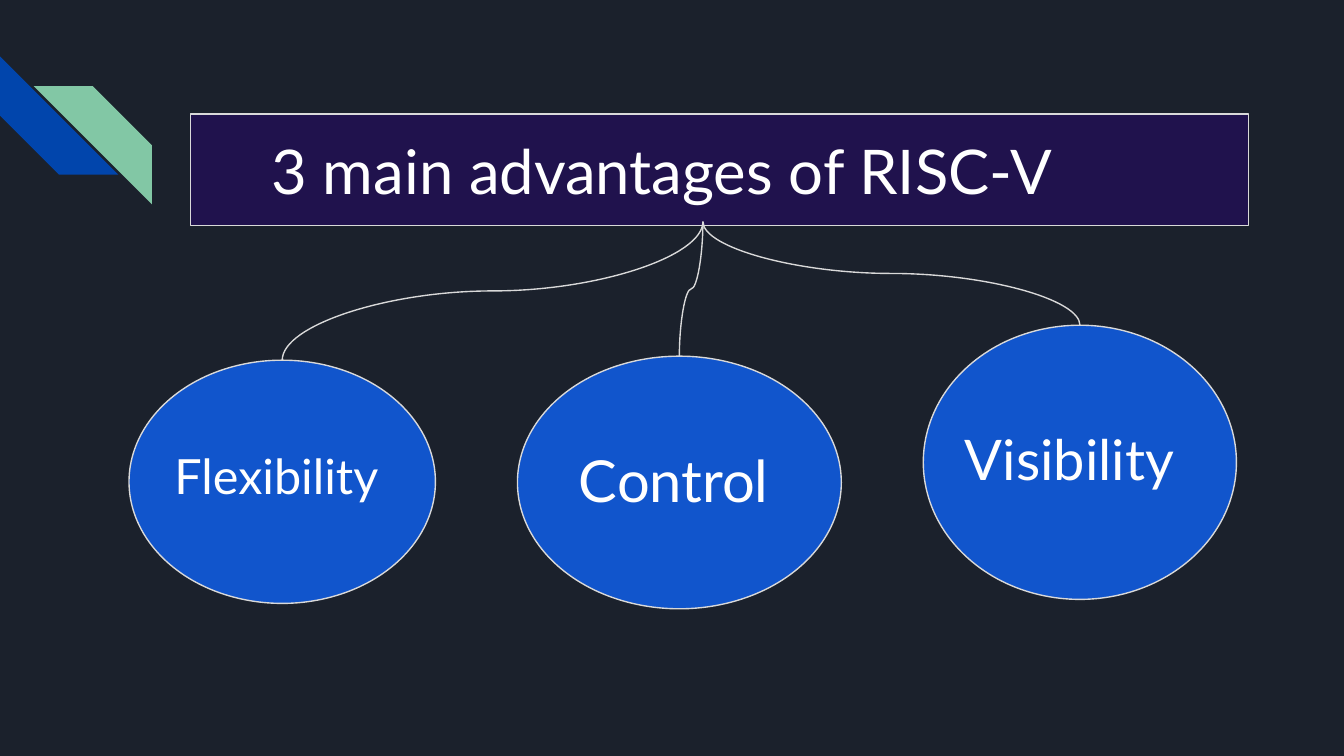
from typing import NamedTuple

import pptx
import pptx.dml.color
import pptx.enum.shapes
import pptx.enum.text
import pptx.oxml
import pptx.util
from pptx.util import Inches

SHAPE = pptx.enum.shapes.MSO_SHAPE
COLORS = {
    "background": "1B212C",
    "blue stripe": "0145AC",
    "green stripe": "82C7A5",
    "oval": "1155CC",
    "bar": "20124D",
    "line": "D9D9D9",
    "text": "FFFFFF",
}
LINE_WIDTH = pptx.util.Pt(0.75)
FONT = "Lato"


class Box(NamedTuple):
    left: float
    top: float
    width: float
    height: float

    def lengths(self) -> list:
        return [Inches(v) for v in self]


class Advantage(NamedTuple):
    name: str
    size: int
    oval: Box
    label: Box
    kind: int = SHAPE.OVAL


HUB = (5.23, 1.65)  # where all three curves start
ADVANTAGES = [
    Advantage("Flexibility", 26, Box(0.96, 2.68, 2.28, 1.81),
              Box(1.2, 3.22, 1.76, 0.83), SHAPE.FLOWCHART_CONNECTOR),
    Advantage("Control", 31, Box(3.85, 2.65, 2.41, 1.88), Box(4.21, 3.21, 1.76, 0.76)),
    Advantage("Visibility", 30, Box(6.87, 2.42, 2.33, 2.04), Box(7.08, 3.06, 1.85, 0.76)),
]


def rgb(name: str) -> pptx.dml.color.RGBColor:
    return pptx.dml.color.RGBColor.from_string(COLORS[name])


def add_block(s, kind: int, box: Box, fill: str, outlined: bool = True):
    sp = s.shapes.add_shape(kind, *box.lengths())
    sp.shadow.inherit = False
    sp.fill.solid()
    sp.fill.fore_color.rgb = rgb(fill)
    if outlined:
        sp.line.color.rgb = rgb("line")
        sp.line.width = LINE_WIDTH
    else:
        sp.line.fill.background()
    return sp


def write(sp, text: str, *, size: int) -> None:
    tf = sp.text_frame
    tf.word_wrap = True
    tf.auto_size = pptx.enum.text.MSO_AUTO_SIZE.NONE
    tf.vertical_anchor = pptx.enum.text.MSO_ANCHOR.TOP
    tf.margin_left = tf.margin_right = tf.margin_top = tf.margin_bottom = Inches(0.1)
    p = tf.paragraphs[0]
    p.alignment = pptx.enum.text.PP_ALIGN.LEFT
    r = p.add_run()
    r.text = text
    r.font.name = FONT
    r.font.size = pptx.util.Pt(size)
    r.font.color.rgb = rgb("text")


def add_curve(s, start: tuple[float, float], end: tuple[float, float]) -> None:
    """Draw a curve that leaves and arrives vertically, as a turned connector."""
    (x1, y1), (x2, y2) = start, end
    mid_x, mid_y = (x1 + x2) / 2, (y1 + y2) / 2
    half_w, half_h = (y2 - y1) / 2, abs(x2 - x1) / 2
    side = 1 if x2 > x1 else -1  # a curve to the right is mirrored
    c = s.shapes.add_connector(
        pptx.enum.shapes.MSO_CONNECTOR.CURVE,
        Inches(mid_x + side * half_w), Inches(mid_y - half_h),
        Inches(mid_x - side * half_w), Inches(mid_y + half_h))
    c.line.color.rgb = rgb("line")
    c.line.width = LINE_WIDTH
    degrees = 270 if side > 0 else 90
    c.element.spPr.xfrm.set("rot", str(degrees * 60000))
    c.element.spPr.append(pptx.oxml.parse_xml(
        '<a:effectLst xmlns:a="http://schemas.openxmlformats.org/drawingml/2006/main"/>'))


def main() -> None:
    prs = pptx.Presentation()
    prs.slide_width = Inches(10)
    prs.slide_height = prs.slide_width * 9 // 16
    s = prs.slides.add_slide(prs.slide_layouts[5])
    s.background.fill.solid()
    s.background.fill.fore_color.rgb = rgb("background")

    # Corner stripes
    blue = add_block(s, SHAPE.DIAGONAL_STRIPE, Box(0, 0.42, 0.88, 0.88), "blue stripe", False)
    blue.rotation = 270
    green = add_block(s, SHAPE.DIAGONAL_STRIPE, Box(0.25, 0.64, 0.88, 0.88),
                      "green stripe", False)
    green.element.spPr.xfrm.set("flipH", "1")

    # Title on its bar
    add_block(s, SHAPE.RECTANGLE, Box(1.42, 0.85, 7.87, 0.83), "bar")
    title = s.shapes.title
    title.left, title.top, title.width, title.height = Box(1.92, 0.89, 6.62, 0.76).lengths()
    write(title, "3 main advantages of RISC-V", size=33)
    title.element.getparent().append(title.element)  # bring in front of the bar

    # Advantages, each with its curve from the title
    for adv in ADVANTAGES:
        add_block(s, adv.kind, adv.oval, "oval")
        write(s.shapes.add_textbox(*adv.label.lengths()), adv.name, size=adv.size)
        add_curve(s, HUB, (adv.oval.left + adv.oval.width / 2, adv.oval.top))

    prs.save("out.pptx")


if __name__ == "__main__":
    main()
